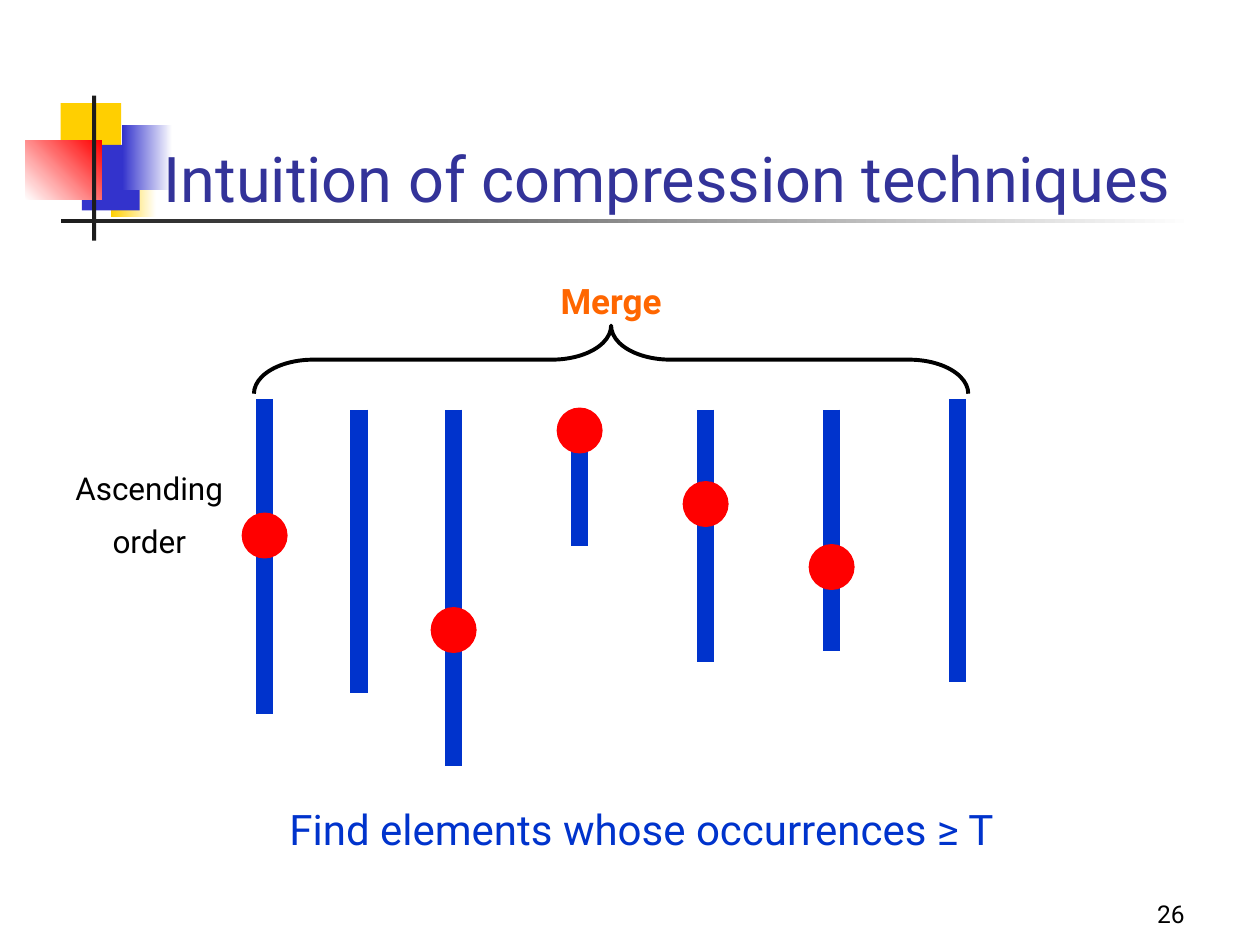
from lxml import etree
from pptx import Presentation
from pptx.dml.color import RGBColor
from pptx.enum import shapes, text
from pptx.oxml import ns
from pptx.util import Pt

COLORS = {
    "yellow": "FFCF01", "indigo": "3333CC", "red": "FF0000", "white": "FFFFFF",
    "dark": "1C1C1C", "title": "333399", "blue": "0033CC", "orange": "FF6600",
    "black": "000000",
}
SHAPE = shapes.MSO_SHAPE
ANCHOR = text.MSO_ANCHOR
ALIGN = text.PP_ALIGN


def rgb(name):
    return RGBColor.from_string(COLORS[name])


def add_text(box, lines, color, size, align=ALIGN.CENTER, bold=False,
             space=0, **frame_format):
    """Add a text box with one paragraph per line; space goes between lines."""
    frame = slide.shapes.add_textbox(*map(Pt, box)).text_frame
    for key, value in {"word_wrap": True, **frame_format}.items():
        setattr(frame, key, value)
    for index, line in enumerate(lines):
        paragraph = frame.paragraphs[0] if index == 0 else frame.add_paragraph()
        paragraph.alignment = align
        if index:
            paragraph.space_before = Pt(space)
        run = paragraph.add_run()
        run.text = line
        for key, value in {"name": "Roboto", "size": Pt(size), "bold": bold}.items():
            setattr(run.font, key, value)
        run.font.color.rgb = rgb(color)


deck = Presentation()
deck.slide_width, deck.slide_height = Pt(720), Pt(540)
slide = deck.slides.add_slide(deck.slide_layouts[6])

# Corner ornament and title rule: box, start colour, end colour, gradient angle
ornament = [
    ((34.6, 59, 34.6, 37.4), "yellow", None, 0),
    ((63.4, 86.4, 25.9, 37.4), "yellow", "white", 0),
    ((46.8, 82.8, 33.1, 37.4), "indigo", None, 0),
    ((69.8, 71.3, 28.8, 37.4), "indigo", "white", 0),
    ((14.4, 80.6, 43.9, 33.5), "white", "red", 45),
    ((52.6, 54.7, 2.3, 82.8), "dark", None, 0),
    ((34.6, 125.3, 648, 2.2), "dark", "white", 0),
]
for box, start, end, angle in ornament:
    block = slide.shapes.add_shape(SHAPE.RECTANGLE, *map(Pt, box))
    block.shadow.inherit = False
    block.line.fill.background()
    if end:
        block.fill.gradient()
        block.fill.gradient_angle = angle
        for stop, color, position in zip(block.fill.gradient_stops, (start, end), (0, 1)):
            stop.color.rgb = rgb(color)
            stop.position = position
    else:
        block.fill.solid()
        block.fill.fore_color.rgb = rgb(start)

add_text((534.2, 498.2, 149.8, 36), ["26"], "black", 14, ALIGN.RIGHT,
         vertical_anchor=ANCHOR.BOTTOM)
add_text((86.4, 36.7, 613.4, 90), ["Intuition of compression techniques"],
         "title", 36, ALIGN.LEFT, vertical_anchor=ANCHOR.BOTTOM)

# Sorted lists: x, top, bottom, top of the marked element
DOT = 24
sorted_lists = [
    (151.2, 228, 408, 294),
    (205.2, 234, 396, None),
    (259.2, 234, 438, 348),
    (331.2, 234, 312, 234),
    (403.2, 234, 378, 276),
    (475.2, 234, 372, 312),
    (547.2, 228, 390, None),
]
for x, top, bottom, dot_top in sorted_lists:
    bar = slide.shapes.add_connector(shapes.MSO_CONNECTOR.STRAIGHT,
                                     Pt(x), Pt(top), Pt(x), Pt(bottom))
    bar.line.color.rgb = rgb("blue")
    bar.line.width = Pt(10)
    etree.SubElement(bar._element.spPr, ns.qn("a:effectLst"))
    if dot_top is not None:
        dot = slide.shapes.add_shape(SHAPE.OVAL, Pt(x - DOT / 2), Pt(dot_top),
                                     Pt(DOT), Pt(DOT))
        dot.shadow.inherit = False
        dot.fill.solid()
        dot.fill.fore_color.rgb = rgb("red")
        dot.line.color.rgb = rgb("red")
        dot.line.width = Pt(2.25)

add_text((124, 455.8, 485.3, 36), ["Find elements whose occurrences ≥ T"],
         "blue", 24, word_wrap=False)
add_text((19.4, 264.2, 131.8, 61.2), ["Ascending", "order"], "black", 18, space=9)

brace = slide.shapes.add_shape(SHAPE.RIGHT_BRACE, Pt(329.8), Pt(1.4), Pt(38.9), Pt(408.2))
brace.rotation = 90
brace._element.spPr.xfrm.set("flipH", "1")
brace.adjustments[0] = 0.87
brace.adjustments[1] = 0.5
brace.shadow.inherit = False
brace.fill.background()
brace.line.color.rgb = rgb("black")
brace.line.width = Pt(2.25)

add_text((205.2, 156.2, 288, 31), ["Merge"], "orange", 20, bold=True)

deck.save("out.pptx")
